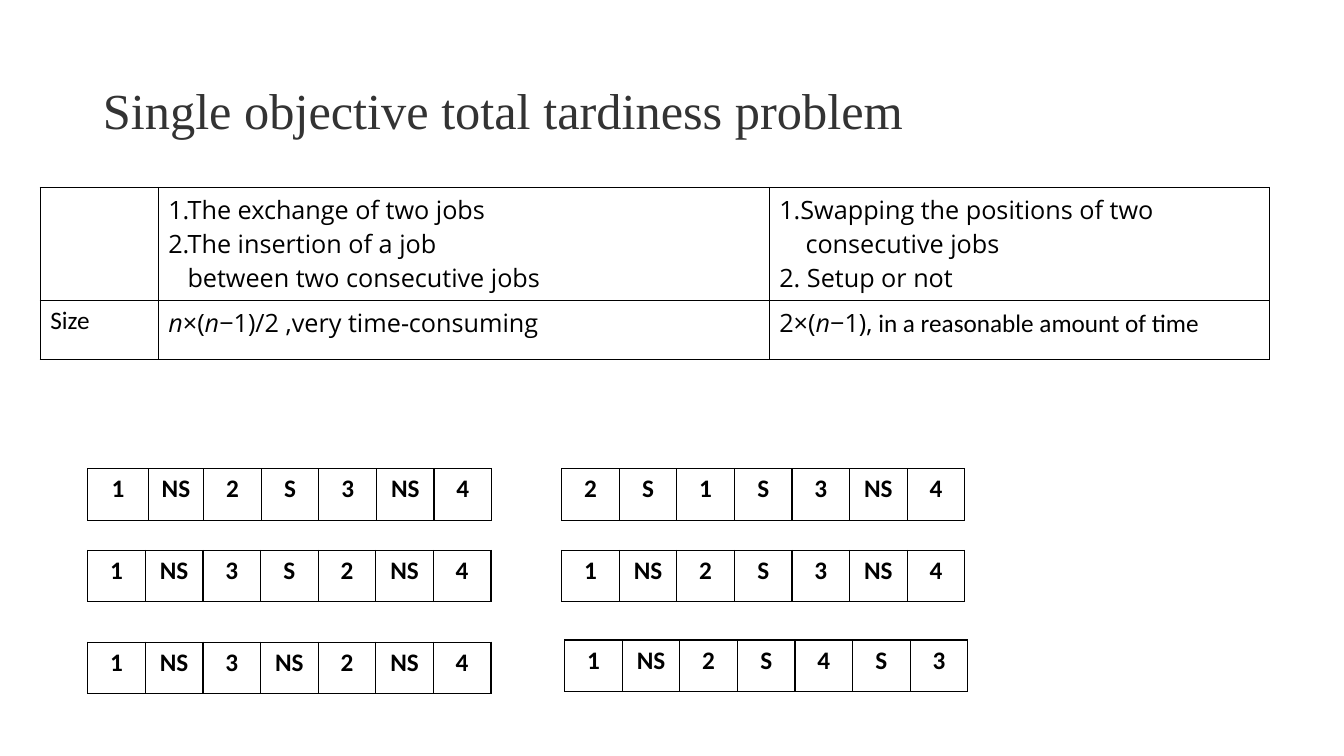
from lxml.etree import SubElement
from pptx import Presentation
from pptx.dml.color import RGBColor
from pptx.enum.text import MSO_ANCHOR, PP_ALIGN
from pptx.oxml.ns import qn
from pptx.util import Inches, Pt

# Content: a paragraph is (left indent, runs), a run is (text, format name)
TITLE = "Single objective total tardiness problem"
COMPARISON = [
    [
        [],
        [
            (0, [("1.The exchange of two jobs", "body")]),
            (0, [("2.The insertion of a job", "body")]),
            (0.19, [("between two consecutive jobs", "body")]),
        ],
        [
            (0, [("1.Swapping the positions of two", "body")]),
            (0.26, [("consecutive jobs", "body")]),
            (0, [("2. Setup or not", "body")]),
        ],
    ],
    [
        [(0, [("Size", "label")])],
        [(0, [("n", "variable"), ("×(", "body"), ("n", "variable"),
              ("−1)/2 ,very time‐consuming", "body")])],
        [(0, [("2×(", "body"), ("n", "variable"), ("−1),", "body"),
              (" in a reasonable amount of time", "label")])],
    ],
]
EQUAL_COLUMNS = [4 / 7] * 7
# Each sequence: left, top, column widths, jobs and setups
SEQUENCES = [
    (0.87, 4.65, [0.6, 0.55] + EQUAL_COLUMNS[2:], "1 NS 2 S 3 NS 4"),
    (0.87, 5.46, EQUAL_COLUMNS, "1 NS 3 S 2 NS 4"),
    (0.87, 6.37, EQUAL_COLUMNS, "1 NS 3 NS 2 NS 4"),
    (5.57, 4.65, EQUAL_COLUMNS, "2 S 1 S 3 NS 4"),
    (5.57, 5.46, EQUAL_COLUMNS, "1 NS 2 S 3 NS 4"),
    (5.6, 6.35, EQUAL_COLUMNS, "1 NS 2 S 4 S 3"),
]

BLACK = RGBColor(0, 0, 0)
THEME = {
    "title": {"name": "Times New Roman", "size": Pt(36), "color": RGBColor(0x33, 0x33, 0x33)},
    "body": {"name": "Open Sans", "size": Pt(18), "color": BLACK},
    "variable": {"name": "Open Sans", "size": Pt(18), "color": BLACK, "italic": True},
    "label": {"name": "Calibri", "size": Pt(18), "color": BLACK},
    "job": {"name": "Calibri", "size": Pt(18), "color": BLACK, "bold": True},
    "border": {"color": "000000", "width": Pt(1)},
}


def add_run(paragraph, text, format_name):
    run = paragraph.add_run()
    run.text = text
    for attribute, value in THEME[format_name].items():
        if attribute == "color":
            run.font.color.rgb = value
        else:
            setattr(run.font, attribute, value)


def add_borders(cell):
    properties = cell._tc.get_or_add_tcPr()
    for position, side in enumerate(("lnL", "lnR", "lnT", "lnB")):
        line = SubElement(properties, qn(f"a:{side}"), w=str(THEME["border"]["width"]))
        fill = SubElement(line, qn("a:solidFill"))
        SubElement(fill, qn("a:srgbClr"), val=THEME["border"]["color"])
        properties.insert(position, line)


def fill_cell(cell, paragraphs, alignment):
    cell.fill.background()
    add_borders(cell)
    frame = cell.text_frame
    for index, (indent, runs) in enumerate(paragraphs):
        paragraph = frame.add_paragraph() if index else frame.paragraphs[0]
        paragraph.alignment = alignment
        if indent:
            paragraph._p.get_or_add_pPr().set("marL", str(Inches(indent)))
        for text, format_name in runs:
            add_run(paragraph, text, format_name)


def add_grid(slide, left, top, widths, heights, rows, alignment):
    table = slide.shapes.add_table(
        len(heights), len(widths), Inches(left), Inches(top),
        Inches(sum(widths)), Inches(sum(heights))).table
    table.first_row = table.horz_banding = False
    for column, width in zip(table.columns, widths):
        column.width = Inches(width)
    for row, height, contents in zip(table.rows, heights, rows):
        row.height = Inches(height)
        for cell, paragraphs in zip(row.cells, contents):
            fill_cell(cell, paragraphs, alignment)


def main():
    presentation = Presentation()
    presentation.slide_width, presentation.slide_height = Inches(13.33), Inches(7.5)
    slide = presentation.slides.add_slide(presentation.slide_layouts[5])

    # Title
    title = slide.shapes.title
    title.left, title.top = Inches(0.92), Inches(0.4)
    title.width, title.height = Inches(11.5), Inches(1.45)
    title.text_frame.vertical_anchor = MSO_ANCHOR.MIDDLE
    paragraph = title.text_frame.paragraphs[0]
    paragraph.alignment = PP_ALIGN.LEFT
    paragraph.line_spacing = 0.9
    add_run(paragraph, TITLE, "title")

    # Neighbourhood comparison
    add_grid(slide, 0.4, 1.86, [1.17, 6.06, 4.96], [1.11, 0.59], COMPARISON, PP_ALIGN.LEFT)

    # Job sequences
    for left, top, widths, sequence in SEQUENCES:
        cells = [[(0, [(text, "job")])] for text in sequence.split()]
        add_grid(slide, left, top, widths, [0.51], [cells], PP_ALIGN.CENTER)

    presentation.save("out.pptx")


if __name__ == "__main__":
    main()
